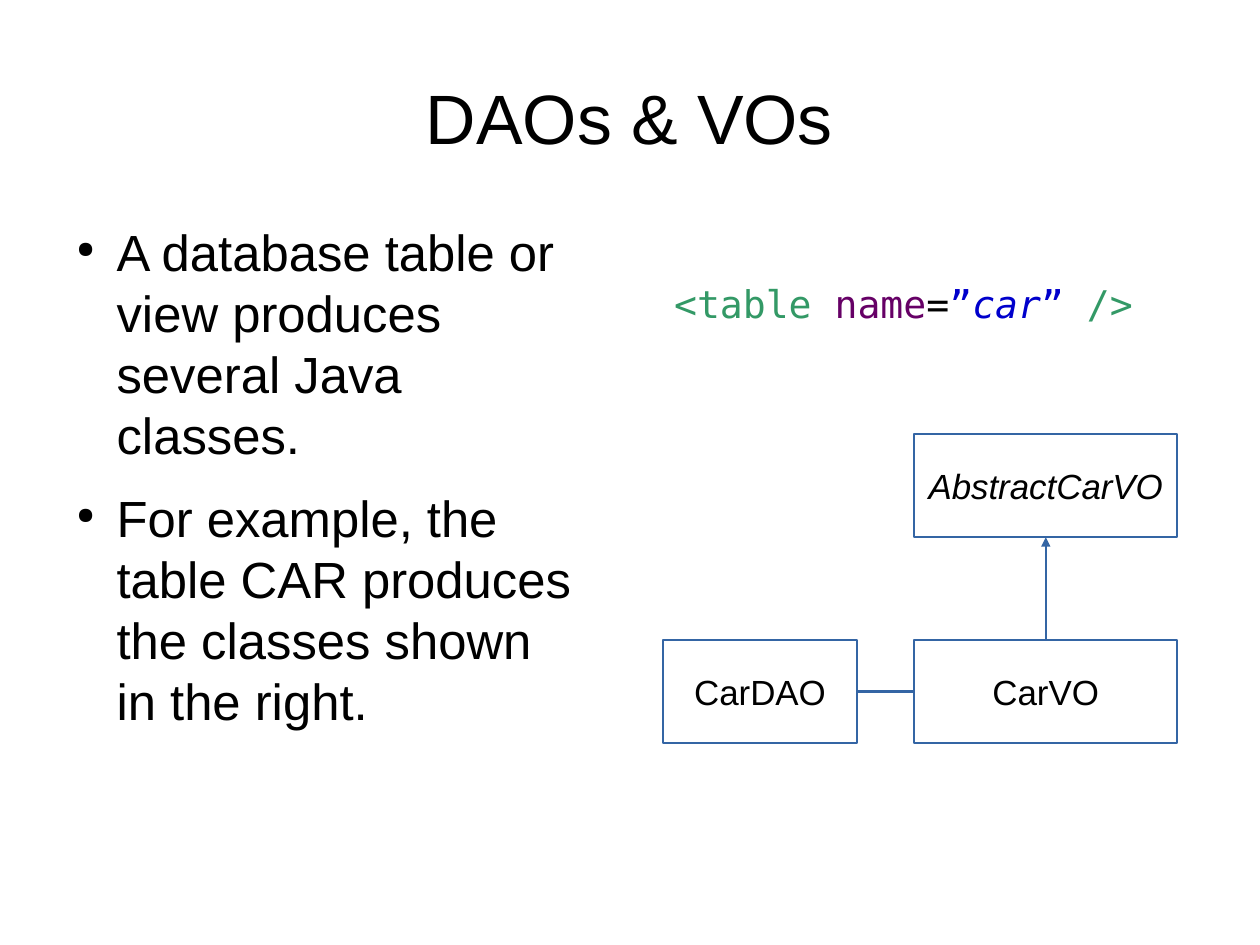
from dataclasses import dataclass

from lxml import etree
from pptx import Presentation
from pptx import util as u
from pptx.dml.color import RGBColor
from pptx.enum import shapes, text
from pptx.oxml import ns

Pt = u.Pt


@dataclass(frozen=True)
class Theme:
    font: str = "Arial"
    code_font: str = "DejaVu Sans Mono"
    bullet_font: str = "OpenSymbol"
    ink: str = "000000"
    paper: str = "FFFFFF"
    line: str = "3465A4"
    tag: str = "339966"
    attribute: str = "660066"
    value: str = "0000CC"
    title_size: float = 44
    body_size: float = 32
    code_size: float = 24
    class_size: float = 22
    line_width: float = 1.42


THEME = Theme()


@dataclass(frozen=True)
class Box:
    left: float
    top: float
    width: float
    height: float

    def points(self):
        return [Pt(n) for n in (self.left, self.top, self.width, self.height)]


def add_run(paragraph, words, size, color=THEME.ink, font=THEME.font, italic=False):
    run = paragraph.add_run()
    run.text = words
    run.font.name = font
    run.font.size = Pt(size)
    run.font.italic = italic
    run.font.color.rgb = RGBColor.from_string(color)


def set_frame(frame, horizontal=0, vertical=0, anchor=text.MSO_ANCHOR.TOP, wrap=True):
    frame.auto_size = text.MSO_AUTO_SIZE.NONE
    frame.word_wrap = wrap
    frame.vertical_anchor = anchor
    frame.margin_left = frame.margin_right = Pt(horizontal)
    frame.margin_top = frame.margin_bottom = Pt(vertical)


def add_xml(parent, tag, **attributes):
    return etree.SubElement(parent, ns.qn(tag), attributes)


def set_bullet(paragraph):
    properties = paragraph._p.get_or_add_pPr()
    properties.set("marL", str(Pt(33.84)))
    properties.set("indent", str(Pt(-25.2)))
    add_xml(add_xml(properties, "a:buClr"), "a:srgbClr", val=THEME.ink)
    add_xml(properties, "a:buSzPct", val="45000")
    add_xml(properties, "a:buFont", typeface=THEME.bullet_font)
    add_xml(properties, "a:buChar", char="●")


def place_title(slide, box, words):
    title = slide.shapes.title
    title.left, title.top, title.width, title.height = box.points()
    set_frame(title.text_frame, anchor=text.MSO_ANCHOR.MIDDLE)
    paragraph = title.text_frame.paragraphs[0]
    paragraph.alignment = text.PP_ALIGN.CENTER
    add_run(paragraph, words, THEME.title_size)


def add_bullets(slide, box, items):
    frame = slide.shapes.add_textbox(*box.points()).text_frame
    set_frame(frame)
    for index, item in enumerate(items):
        paragraph = frame.add_paragraph() if index else frame.paragraphs[0]
        paragraph.space_before = Pt(14.2)
        set_bullet(paragraph)
        add_run(paragraph, item, THEME.body_size)


def add_code(slide, box, tokens):
    frame = slide.shapes.add_textbox(*box.points()).text_frame
    set_frame(frame, 7.2, 3.6)
    for words, color, italic in tokens:
        add_run(frame.paragraphs[0], words, THEME.code_size, color,
                THEME.code_font, italic)


def add_class(slide, box, name, italic=False):
    shape = slide.shapes.add_shape(shapes.MSO_SHAPE.RECTANGLE, *box.points())
    shape.shadow.inherit = False
    shape.fill.solid()
    shape.fill.fore_color.rgb = RGBColor.from_string(THEME.paper)
    shape.line.color.rgb = RGBColor.from_string(THEME.line)
    shape.line.width = Pt(THEME.line_width)
    set_frame(shape.text_frame, 7.8, 4.2, text.MSO_ANCHOR.MIDDLE, wrap=False)
    paragraph = shape.text_frame.paragraphs[0]
    paragraph.alignment = text.PP_ALIGN.CENTER
    add_run(paragraph, name, THEME.class_size, italic=italic)
    return shape


def join(slide, start, start_side, end, end_side, arrow=False):
    connector = slide.shapes.add_connector(
        shapes.MSO_CONNECTOR.STRAIGHT, 0, 0, 0, 0)
    connector.begin_connect(start, start_side)
    connector.end_connect(end, end_side)
    connector.line.color.rgb = RGBColor.from_string(THEME.line)
    connector.line.width = Pt(THEME.line_width)
    properties = connector._element.spPr
    if arrow:
        add_xml(properties.get_or_add_ln(), "a:tailEnd", type="triangle")
    add_xml(properties, "a:effectLst")


def add_class_diagram(slide, box):
    dao_width, vo_width, height = 122.4, 165.6, 64.8
    vo_left = box.left + box.width - vo_width
    lower_top = box.top + box.height - height

    # Classes
    dao = add_class(slide, Box(box.left, lower_top, dao_width, height), "CarDAO")
    vo = add_class(slide, Box(vo_left, lower_top, vo_width, height), "CarVO")
    abstract = add_class(slide, Box(vo_left, box.top, vo_width, height),
                         "AbstractCarVO", italic=True)

    # Association and inheritance
    join(slide, dao, 3, vo, 1)
    join(slide, vo, 0, abstract, 2, arrow=True)


def main():
    presentation = Presentation()
    presentation.slide_width, presentation.slide_height = Pt(793.75), Pt(595.25)
    slide = presentation.slides.add_slide(presentation.slide_layouts[5])

    # Title and explanation
    place_title(slide, Box(39.6, 23.76, 714.24, 99.36), "DAOs & VOs")
    add_bullets(slide, Box(39.6, 138.96, 327.6, 415.44), [
        "A database table or view produces several Java classes.",
        "For example, the table CAR produces the classes shown in the right.",
    ])

    # Generated classes and their source tag
    add_class_diagram(slide, Box(417.6, 273.6, 324, 194.4))
    add_code(slide, Box(417.6, 172.8, 345.6, 35.28), [
        ("<table ", THEME.tag, False),
        ("name", THEME.attribute, False),
        ("=", THEME.ink, False),
        ("”", THEME.value, False),
        ("car", THEME.value, True),
        ("” ", THEME.value, False),
        ("/>", THEME.tag, False),
    ])
    presentation.save("out.pptx")


if __name__ == "__main__":
    main()
